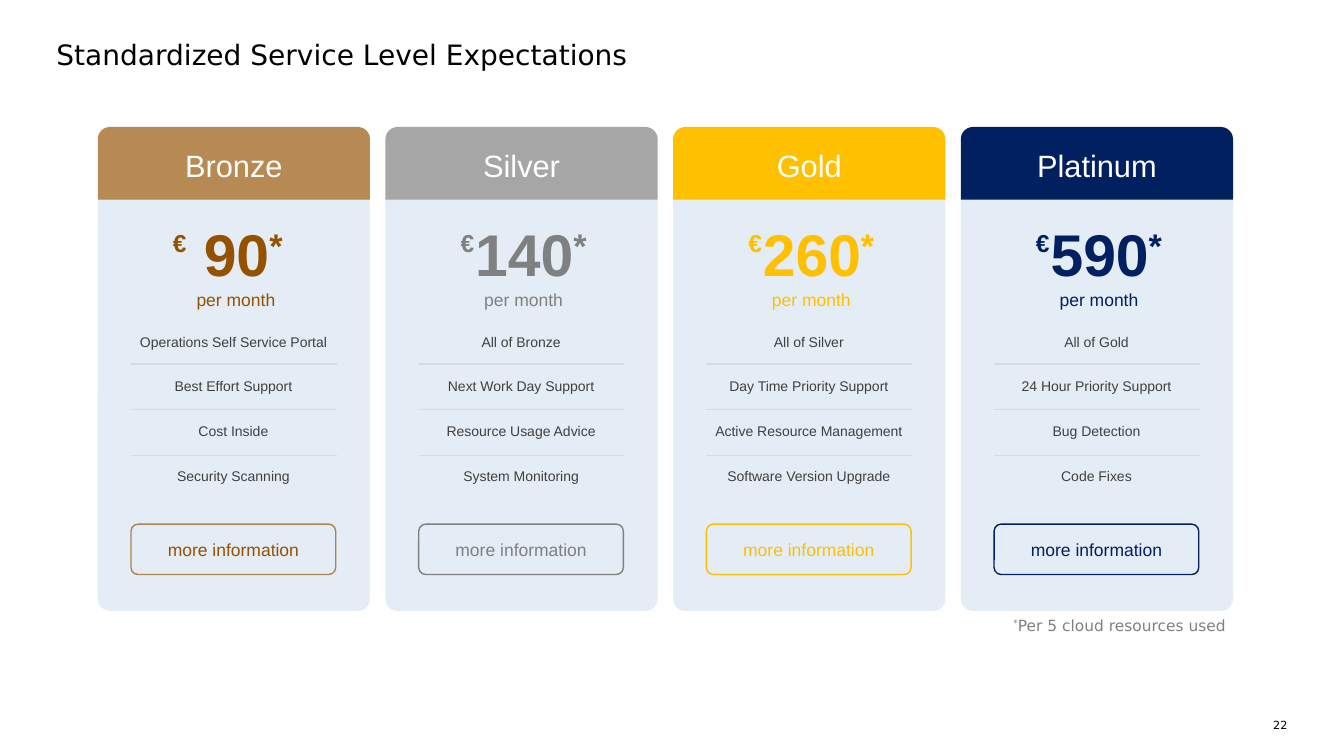
from pptx import Presentation
from pptx.dml.color import RGBColor
from pptx.enum.shapes import MSO_CONNECTOR, MSO_SHAPE
from pptx.enum.text import MSO_ANCHOR, PP_ALIGN
from pptx.oxml.ns import qn
from pptx.util import Inches, Pt
from lxml.etree import SubElement

BLACK = RGBColor(0x00, 0x00, 0x00)
WHITE = RGBColor(0xFF, 0xFF, 0xFF)
GRAY = RGBColor(0x80, 0x80, 0x80)
SILVER = RGBColor(0xA6, 0xA6, 0xA6)
DARK_GRAY = RGBColor(0x40, 0x40, 0x40)
BRONZE = RGBColor(0x94, 0x52, 0x00)
GOLD = RGBColor(0xFF, 0xC0, 0x00)
NAVY = RGBColor(0x00, 0x20, 0x60)
CARD_BLUE = RGBColor(0xE4, 0xEC, 0xF5)
RULE_BLUE = RGBColor(0xD3, 0xDB, 0xE3)

# name, header colour, accent colour, header and button opacity, price, services
TIERS = [
    ("Bronze", BRONZE, BRONZE, 67, " 90",
     ["Operations Self Service Portal", "Best Effort Support", "Cost Inside", "Security Scanning"]),
    ("Silver", SILVER, GRAY, 100, "140",
     ["All of Bronze", "Next Work Day Support", "Resource Usage Advice", "System Monitoring"]),
    ("Gold", GOLD, GOLD, 100, "260",
     ["All of Silver", "Day Time Priority Support", "Active Resource Management",
      "Software Version Upgrade"]),
    ("Platinum", NAVY, NAVY, 100, "590",
     ["All of Gold", "24 Hour Priority Support", "Bug Detection", "Code Fixes"]),
]
FIRST_LEFT, LAST_LEFT = 0.97, 9.53
CARD_WIDTH = 2.7
PITCH = (LAST_LEFT - FIRST_LEFT) / (len(TIERS) - 1)
CORNER = 0.12


def write(box, *lines, size, color, font="Arial", bold=False, align=PP_ALIGN.CENTER,
          anchor=MSO_ANCHOR.MIDDLE, inset=0.03, gap=0, wrap=True):
    """Fill a shape with one paragraph per line; an asterisk is set as superscript."""
    frame = box.text_frame
    frame.word_wrap = wrap
    frame.vertical_anchor = anchor
    frame.margin_left = frame.margin_right = Inches(inset)
    frame.margin_top = frame.margin_bottom = Inches(inset)
    for number, line in enumerate(lines):
        para = frame.add_paragraph() if number else frame.paragraphs[0]
        para.alignment = align
        para.space_before = Pt(gap if number else 0)
        for part in filter(None, line.partition("*")):
            span = para.add_run()
            span.text = part
            span.font.name = font
            span.font.size = Pt(size)
            span.font.bold = bold
            span.font.color.rgb = color
            if part == "*":
                span._r.get_or_add_rPr().set("baseline", "30000")


def add_panel(kind, left, top, width, height, corners, fill=None, line=None, opacity=100):
    """Add a rounded shape with a plain fill or a plain outline."""
    panel = page.shapes.add_shape(kind, Inches(left), Inches(top), Inches(width), Inches(height))
    panel.shadow.inherit = False
    for index, radius in enumerate(corners):
        panel.adjustments[index] = radius / min(width, height)
    if fill is None:
        panel.fill.background()
        panel.line.color.rgb = line
        panel.line.width = Pt(1)
    else:
        panel.fill.solid()
        panel.fill.fore_color.rgb = fill
        panel.line.fill.background()
    if opacity < 100:
        color = next(panel._element.spPr.iter(qn("a:srgbClr")))
        SubElement(color, qn("a:alpha")).set("val", str(opacity * 1000))
    return panel


deck = Presentation()
deck.slide_width, deck.slide_height = Inches(13.33), Inches(7.5)
page = deck.slides.add_slide(deck.slide_layouts[5])

title = page.shapes.title
title.left, title.top = Inches(0.56), Inches(0.37)
title.width, title.height = Inches(12.22), Inches(0.34)
write(title, "Standardized Service Level Expectations", size=20, color=BLACK,
      font="DejaVu Sans", align=PP_ALIGN.LEFT, inset=0)

for column, (name, header_color, accent, opacity, price, services) in enumerate(TIERS):
    left = FIRST_LEFT + column * PITCH
    add_panel(MSO_SHAPE.ROUND_2_SAME_RECTANGLE, left, 1.97, CARD_WIDTH, 4.09, (0, CORNER),
              fill=CARD_BLUE)
    header = add_panel(MSO_SHAPE.ROUND_2_SAME_RECTANGLE, left, 1.26, CARD_WIDTH, 0.72,
                       (CORNER, 0), fill=header_color, opacity=opacity)
    write(header, name, size=22, color=WHITE)

    labels = [
        (0.86, 2.13, 1.84, 0.76, [price + "*"], dict(size=42, bold=True, align=PP_ALIGN.LEFT)),
        (0.43, 2.23, 0.48, 0.35, ["€"], dict(size=17.5, bold=True, align=PP_ALIGN.RIGHT)),
        (0.94, 2.84, 0.86, 0.27, ["per month"], dict(size=12.5, wrap=False)),
        (0.28, 3.27, 2.13, 1.57, services, dict(size=10, color=DARK_GRAY, gap=20)),
    ]
    for offset, top, width, height, lines, style in labels:
        box = page.shapes.add_textbox(Inches(left + offset), Inches(top),
                                      Inches(width), Inches(height))
        write(box, *lines, **{"color": accent, **style})

    for row in range(len(services) - 1):
        height = Inches(3.61 + row * 0.455)
        rule = page.shapes.add_connector(MSO_CONNECTOR.STRAIGHT, Inches(left + 0.33), height,
                                         Inches(left + 2.37), height)
        rule.line.color.rgb = RULE_BLUE
        rule.line.width = Pt(1)
        SubElement(rule._element.spPr, qn("a:effectLst"))

    button = add_panel(MSO_SHAPE.ROUNDED_RECTANGLE, left + 0.33, 5.2, 2.03, 0.5, (0.07,),
                       line=accent, opacity=opacity)
    write(button, "more information", size=12.5, color=accent)

footnote = page.shapes.add_textbox(Inches(6.13), Inches(6.11), Inches(6.03), Inches(0.19))
write(footnote, "*Per 5 cloud resources used", size=11, color=GRAY, font="DejaVu Sans",
      align=PP_ALIGN.RIGHT, anchor=MSO_ANCHOR.TOP, inset=0)
page_number = page.shapes.add_textbox(Inches(12.54), Inches(7.13), Inches(0.23), Inches(0.13))
write(page_number, "22", size=8, color=BLACK, font="DejaVu Sans", align=PP_ALIGN.RIGHT, inset=0)

deck.save("out.pptx")
